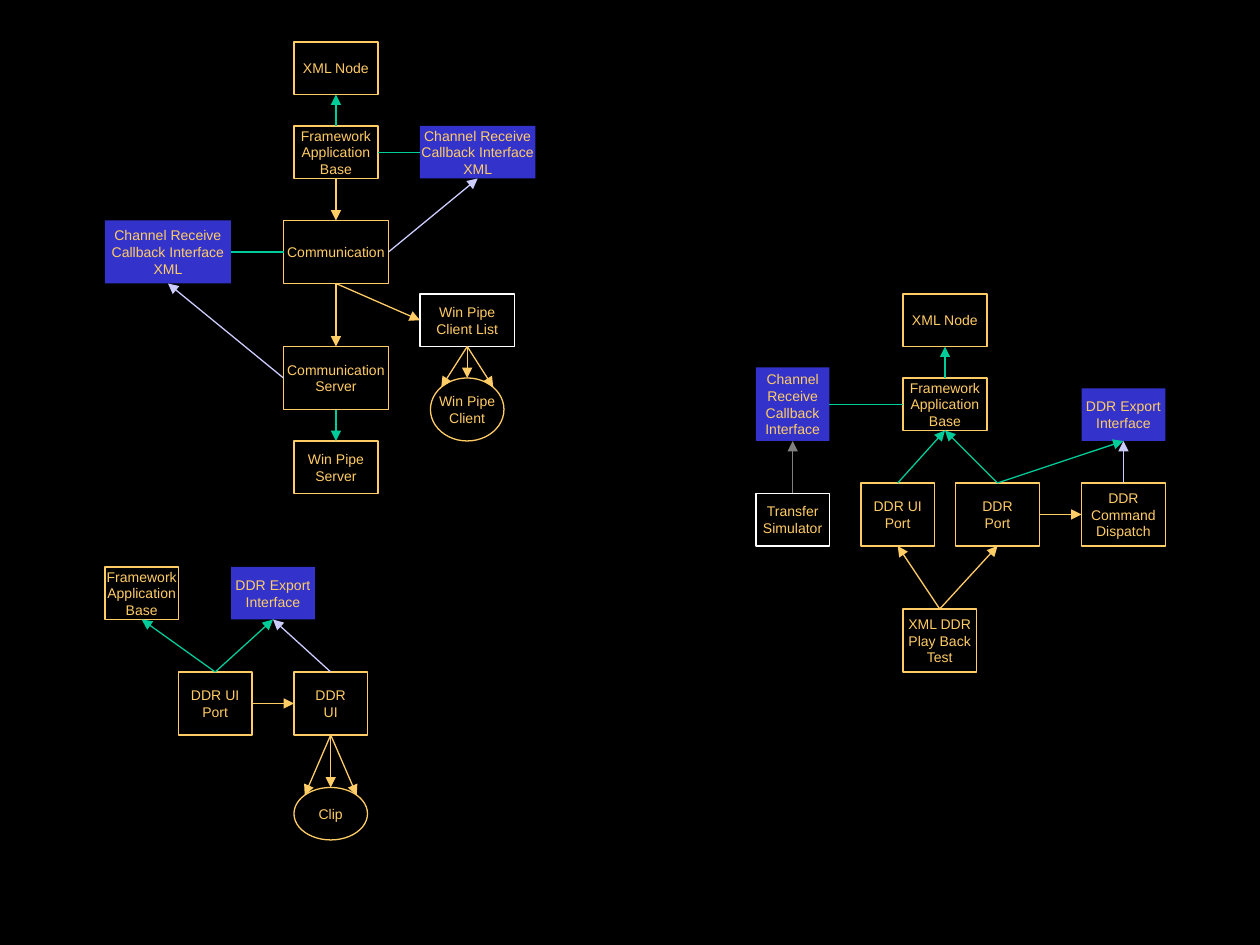
from dataclasses import dataclass
from math import sqrt

from lxml import etree
from pptx import Presentation, util as u
from pptx.dml.color import RGBColor
from pptx.enum import shapes, text
from pptx.oxml.ns import qn

BLACK = RGBColor(0x00, 0x00, 0x00)
WHITE = RGBColor(0xFF, 0xFF, 0xFF)
AMBER = RGBColor(0xFF, 0xCC, 0x66)
GREEN = RGBColor(0x00, 0xCC, 0x99)
LILAC = RGBColor(0xCC, 0xCC, 0xFF)
GREY = RGBColor(0x80, 0x80, 0x80)
BLUE = RGBColor(0x33, 0x33, 0xCC)

GRID = u.Inches(1 / 12)
LINE_WIDTH = u.Pt(0.75)
LABEL_FONT = {"name": "Arial", "size": u.Pt(8)}
TOP, LEFT, BOTTOM, RIGHT = range(4)
RECT = shapes.MSO_SHAPE.RECTANGLE
OVAL = shapes.MSO_SHAPE.OVAL


@dataclass
class Node:
    """A labelled component, placed in grid units of a twelfth of an inch."""
    label: str
    left: int
    top: int
    width: int
    height: int
    outline: RGBColor | None = AMBER
    fill: RGBColor | None = None
    kind: shapes.MSO_SHAPE = RECT


@dataclass
class Link:
    start: str
    start_side: int
    end: str
    end_side: int
    color: RGBColor = AMBER
    arrow: bool = True


def interface(label: str, left: int, top: int, width: int, height: int) -> Node:
    return Node(label, left, top, width, height, outline=None, fill=BLUE)


FRAMEWORK = "Framework\nApplication\nBase"
XML_CALLBACK = "Channel Receive\nCallback Interface\nXML"
EXPORT = "DDR Export\nInterface"

NODES = {
    # Communication
    "comm xml": Node("XML Node", 28, 4, 8, 5),
    "comm base": Node(FRAMEWORK, 28, 12, 8, 5),
    "base callback": interface(XML_CALLBACK, 40, 12, 11, 5),
    "comm": Node("Communication", 27, 21, 10, 6),
    "comm callback": interface(XML_CALLBACK, 10, 21, 12, 6),
    "client list": Node("Win Pipe\nClient List", 40, 28, 9, 5, outline=WHITE),
    "comm server": Node("Communication\nServer", 27, 33, 10, 6),
    "pipe server": Node("Win Pipe\nServer", 28, 42, 8, 5),
    "client": Node("Win Pipe\nClient", 41, 36, 7, 6, kind=OVAL),
    # User interface
    "ui base": Node(FRAMEWORK, 10, 54, 7, 5),
    "ui export": interface(EXPORT, 22, 54, 8, 5),
    "ui port": Node("DDR UI\nPort", 17, 64, 7, 6),
    "ui": Node("DDR\nUI", 28, 64, 7, 6),
    "clip": Node("Clip", 28, 75, 7, 5, kind=OVAL),
    # Play back test
    "test xml": Node("XML Node", 86, 28, 8, 5),
    "test base": Node(FRAMEWORK, 86, 36, 8, 5),
    "test callback": interface("Channel\nReceive\nCallback\nInterface", 72, 35, 7, 7),
    "simulator": Node("Transfer\nSimulator", 72, 47, 7, 5, outline=WHITE),
    "test export": interface(EXPORT, 103, 37, 8, 5),
    "test ui port": Node("DDR UI\nPort", 82, 46, 7, 6),
    "test port": Node("DDR\nPort", 91, 46, 8, 6),
    "dispatch": Node("DDR\nCommand\nDispatch", 103, 46, 8, 6),
    "test": Node("XML DDR\nPlay Back\nTest", 86, 58, 7, 6),
}

LINKS = [
    Link("comm base", TOP, "comm xml", BOTTOM, GREEN),
    Link("base callback", LEFT, "comm base", RIGHT, GREEN, arrow=False),
    Link("comm base", BOTTOM, "comm", TOP),
    Link("comm", LEFT, "comm callback", RIGHT, GREEN, arrow=False),
    Link("comm", RIGHT, "base callback", BOTTOM, LILAC),
    Link("comm", BOTTOM, "comm server", TOP),
    Link("comm", BOTTOM, "client list", LEFT),
    Link("comm server", LEFT, "comm callback", BOTTOM, LILAC),
    Link("comm server", BOTTOM, "pipe server", TOP, GREEN),
    Link("client list", BOTTOM, "client", TOP),
    Link("ui port", TOP, "ui base", BOTTOM, GREEN),
    Link("ui port", TOP, "ui export", BOTTOM, GREEN),
    Link("ui", TOP, "ui export", BOTTOM, LILAC),
    Link("ui port", RIGHT, "ui", LEFT),
    Link("ui", BOTTOM, "clip", TOP),
    Link("test base", TOP, "test xml", BOTTOM, GREEN),
    Link("test callback", RIGHT, "test base", LEFT, GREEN, arrow=False),
    Link("simulator", TOP, "test callback", BOTTOM, GREY),
    Link("test ui port", TOP, "test base", BOTTOM, GREEN),
    Link("test port", TOP, "test base", BOTTOM, GREEN),
    Link("test port", TOP, "test export", BOTTOM, GREEN),
    Link("test port", RIGHT, "dispatch", LEFT),
    Link("dispatch", TOP, "test export", BOTTOM, LILAC),
    Link("test", TOP, "test ui port", BOTTOM),
    Link("test", TOP, "test port", BOTTOM),
]

FANS = [("client list", "client"), ("ui", "clip")]


def draw_node(slide, node: Node):
    box = (node.left, node.top, node.width, node.height)
    shape = slide.shapes.add_shape(node.kind, *(GRID * side for side in box))
    shape.shadow.inherit = False
    if node.fill is None:
        shape.fill.background()
    else:
        shape.fill.solid()
        shape.fill.fore_color.rgb = node.fill
    if node.outline is None:
        shape.line.fill.background()
    else:
        shape.line.color.rgb = node.outline
        shape.line.width = LINE_WIDTH
    frame = shape.text_frame
    frame.word_wrap = False
    frame.vertical_anchor = text.MSO_ANCHOR.MIDDLE
    frame.text = node.label
    for paragraph in frame.paragraphs:
        paragraph.alignment = text.PP_ALIGN.CENTER
        for attribute, value in LABEL_FONT.items():
            setattr(paragraph.font, attribute, value)
        paragraph.font.color.rgb = AMBER
    return shape


def add_line(slide, color: RGBColor, arrow: bool):
    line = slide.shapes.add_connector(shapes.MSO_CONNECTOR.STRAIGHT, 0, 0, 0, 0)
    line.line.color.rgb = color
    line.line.width = LINE_WIDTH
    if arrow:
        outline = line.line._get_or_add_ln()
        etree.SubElement(outline, qn("a:tailEnd"), type="triangle")
    etree.SubElement(line._element.spPr, qn("a:effectLst"))
    return line


def draw_link(slide, link: Link, drawn: dict) -> None:
    line = add_line(slide, link.color, link.arrow)
    line.begin_connect(drawn[link.start], link.start_side)
    line.end_connect(drawn[link.end], link.end_side)


def draw_fan(slide, parent, oval) -> None:
    """Two arrows from the parent's foot to the oval's upper diagonal points."""
    for direction in (-1, 1):
        line = add_line(slide, AMBER, arrow=True)
        line.begin_connect(parent, BOTTOM)
        line.end_x = int(oval.left + oval.width / 2 * (1 + direction / sqrt(2)))
        line.end_y = int(oval.top + oval.height / 2 * (1 - 1 / sqrt(2)))


def main() -> None:
    deck = Presentation()
    deck.slide_width, deck.slide_height = u.Inches(10), u.Inches(7.5)
    slide = deck.slides.add_slide(deck.slide_layouts[6])
    slide.background.fill.solid()
    slide.background.fill.fore_color.rgb = BLACK

    drawn = {key: draw_node(slide, node) for key, node in NODES.items()}
    for link in LINKS:
        draw_link(slide, link, drawn)
    for parent, oval in FANS:
        draw_fan(slide, drawn[parent], drawn[oval])
    deck.save("out.pptx")


if __name__ == "__main__":
    main()
